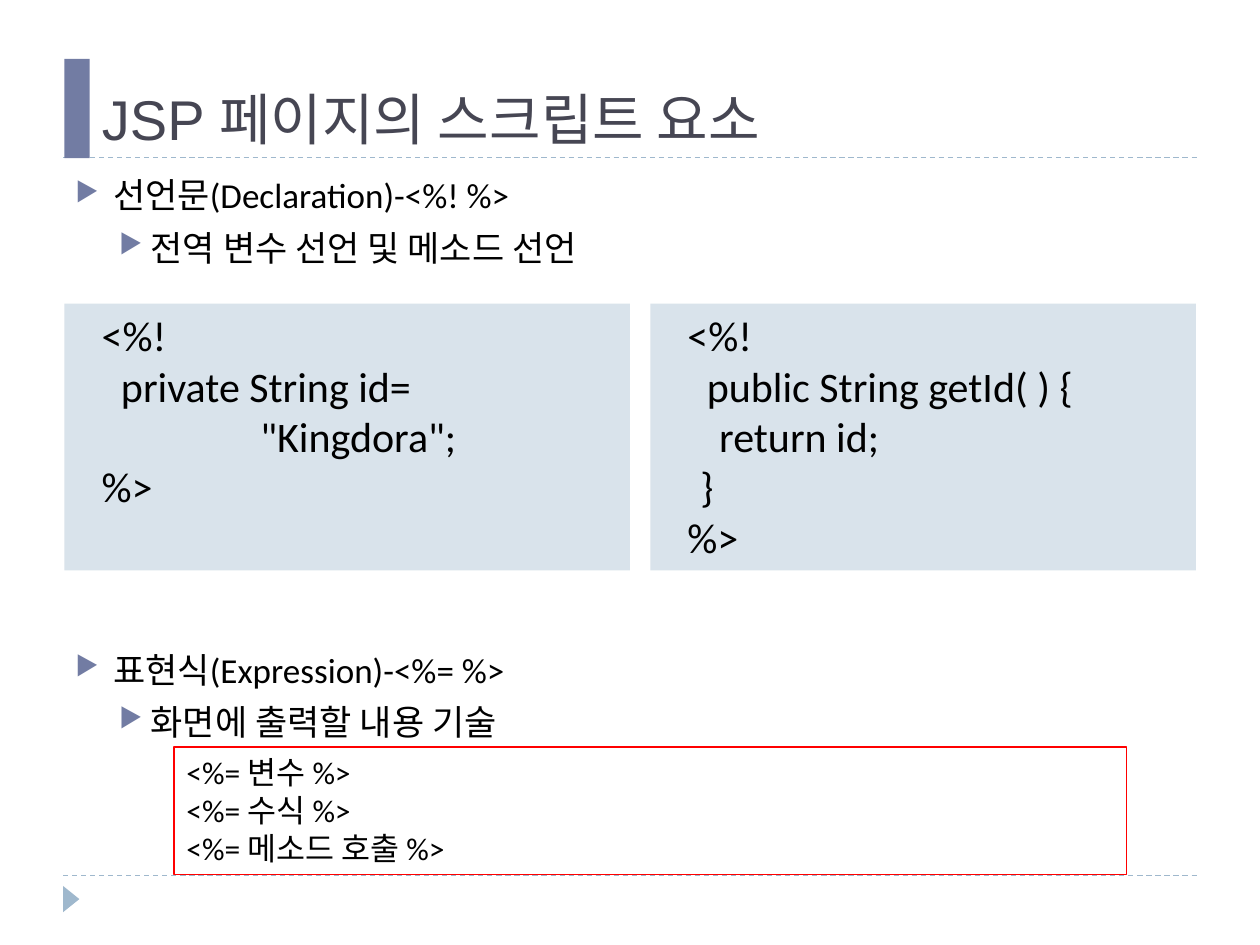
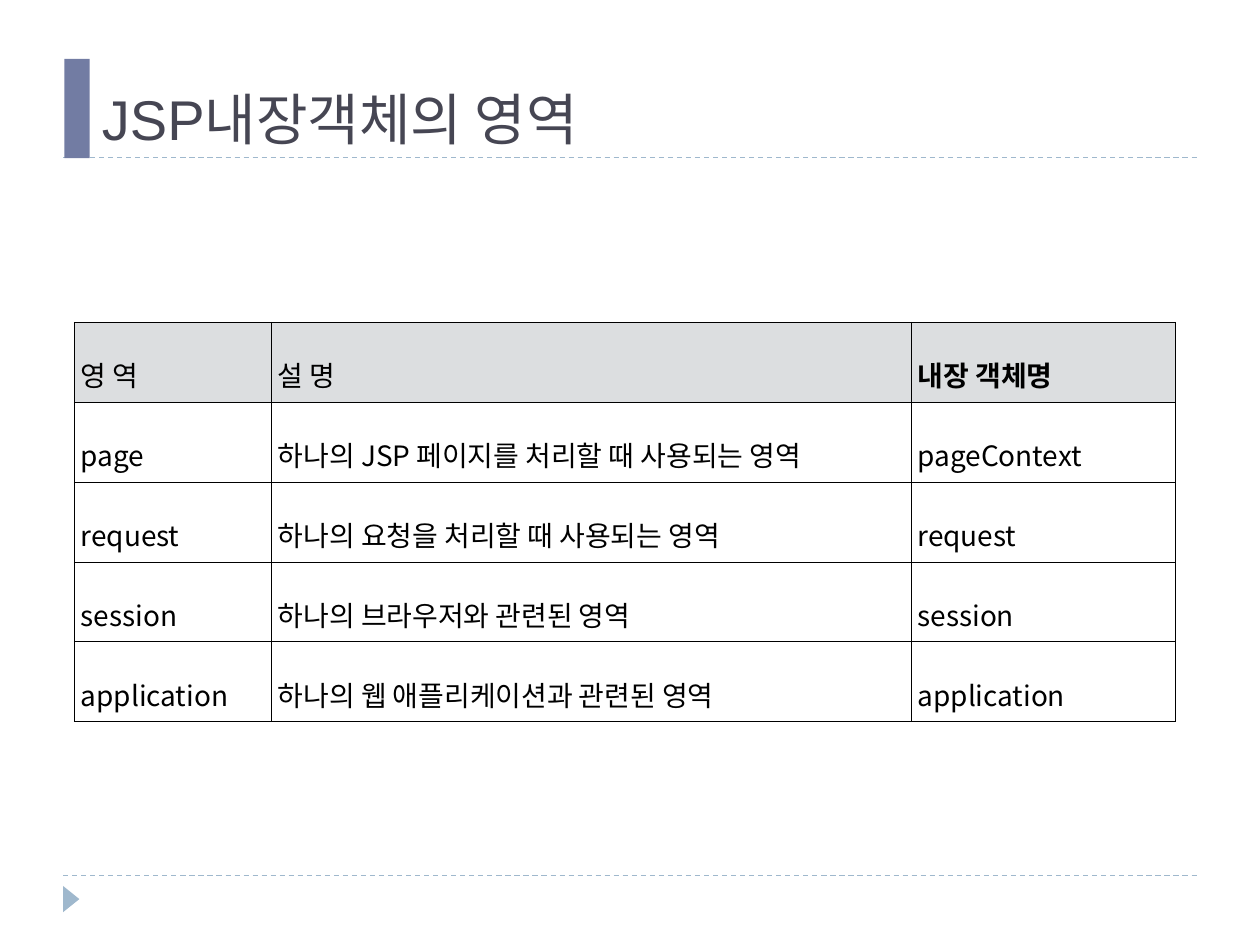
import pptx
import pptx.dml.color
import pptx.enum.dml
import pptx.enum.shapes
import pptx.enum.text
import pptx.oxml
import pptx.oxml.ns
import pptx.util
from lxml import etree

Cm = pptx.util.Cm
Pt = pptx.util.Pt
RGB = pptx.dml.color.RGBColor.from_string
qn = pptx.oxml.ns.qn
Shape = pptx.enum.shapes.MSO_SHAPE
Anchor = pptx.enum.text.MSO_ANCHOR
Align = pptx.enum.text.PP_ALIGN

COLORS = {
    "title": "464653",
    "text": "000000",
    "accent": "727CA3",
    "rule": "9FB8CD",
    "code": "D9E3EB",
    "alert": "FF0000",
    "header": "DCDEE0",
}
KOREAN_FONT = "Noto Sans CJK KR"


def add_text(paragraph, text, size, font, color="text", bold=False):
    """Add one formatted run, with the Korean font for Hangul."""
    run = paragraph.add_run()
    run.text = text
    run.font.size = Pt(size)
    run.font.name = font
    run.font.bold = bold
    run.font.color.rgb = RGB(COLORS[color])
    east_asian = etree.SubElement(run._r.get_or_add_rPr(), qn("a:ea"))
    east_asian.set("typeface", KOREAN_FONT)


def add_box(slide, preset, left, top, width, height, fill=None, line=None):
    """Add a flat shape, measured in centimetres, with top-left text."""
    shape = slide.shapes.add_shape(preset, Cm(left), Cm(top), Cm(width), Cm(height))
    shape.shadow.inherit = False
    if fill:
        shape.fill.solid()
        shape.fill.fore_color.rgb = RGB(COLORS[fill])
    else:
        shape.fill.background()
    if line:
        shape.line.color.rgb = RGB(COLORS[line])
        shape.line.width = Pt(0.75)
    else:
        shape.line.fill.background()
    shape.text_frame.word_wrap = True
    shape.text_frame.vertical_anchor = Anchor.TOP
    return shape


presentation = pptx.Presentation()
presentation.slide_width = Cm(25.4)
presentation.slide_height = Cm(19.05)

# Shared frame: rules, marker, title bar and title
slides = []
for title_text in ("JSP 페이지의 스크립트 요소", "JSP내장객체의 영역"):
    slide = presentation.slides.add_slide(presentation.slide_layouts[5])
    slides.append(slide)

    for rule_top in (17.65, 3.18):
        rule = slide.shapes.add_connector(
            pptx.enum.shapes.MSO_CONNECTOR.STRAIGHT,
            Cm(1.27), Cm(rule_top), Cm(24.13), Cm(rule_top))
        rule.line.color.rgb = RGB(COLORS["rule"])
        rule.line.width = Pt(0.75)
        rule.line.dash_style = pptx.enum.dml.MSO_LINE.DASH
        etree.SubElement(rule._element.spPr, qn("a:effectLst"))

    marker = add_box(slide, Shape.ISOSCELES_TRIANGLE, 1.17, 17.96, 0.53, 0.33, "rule")
    marker.rotation = 90
    add_box(slide, Shape.RECTANGLE, 1.3, 1.19, 0.51, 2, "accent")

    title = slide.shapes.title
    title.left, title.top, title.width, title.height = Cm(1.8), Cm(1.19), Cm(22.33), Cm(2)
    title.text_frame.vertical_anchor = Anchor.BOTTOM
    title.text_frame.auto_size = pptx.enum.text.MSO_AUTO_SIZE.NONE
    paragraph = title.text_frame.paragraphs[0]
    paragraph.alignment = Align.LEFT
    add_text(paragraph, title_text, 32, "Arial", "title")

script_slide, scope_slide = slides

# Slide 1: bullets, with a wide gap that leaves room for the code panels
bullets = (  # text, left margin, hanging indent, space before
    ("선언문(Declaration)-<%! %>", 0.76, -0.76, 6),
    ("전역 변수 선언 및 메소드 선언", 1.52, -0.64, 6),
    ("표현식(Expression)-<%= %>", 0.76, -0.76, 217),
    ("화면에 출력할 내용 기술", 1.52, -0.64, 6),
)
body = script_slide.shapes.add_textbox(Cm(1.27), Cm(3.38), Cm(22.86), Cm(13.72))
body.text_frame.word_wrap = True
for index, (text, margin, indent, space) in enumerate(bullets):
    paragraph = body.text_frame.paragraphs[0] if index == 0 else body.text_frame.add_paragraph()
    paragraph.space_before = Pt(space)
    properties = paragraph._p.get_or_add_pPr()
    properties.set("marL", str(Cm(margin)))
    properties.set("indent", str(Cm(indent)))
    bullet_color = etree.SubElement(properties, qn("a:buClr"))
    etree.SubElement(bullet_color, qn("a:srgbClr")).set("val", COLORS["accent"])
    etree.SubElement(properties, qn("a:buSzPct")).set("val", "76000")
    etree.SubElement(properties, qn("a:buChar")).set("char", "▶")
    add_text(paragraph, text, 20, "Calibri")

# Slide 1: code panels and expression box, each line with its indent
declaration = add_box(script_slide, Shape.RECTANGLE, 1.3, 6.12, 11.4, 5.38, "code")
method = add_box(script_slide, Shape.RECTANGLE, 13.11, 6.12, 11, 5.38, "code")
expression = add_box(script_slide, Shape.RECTANGLE, 3.51, 15.06, 19.2, 2.57, line="alert")
listings = (
    (declaration, 24, (("<%!", 0.5), ("private String id=", 0.89),
                       ('"Kingdora";', 3.7), ("%>", 0.5))),
    (method, 24, (("<%!", 0.5), ("public String getId( ) {", 0.89),
                  ("return id;", 1.14), ("}", 0.76), ("%>", 0.5))),
    (expression, 18, (("<%= 변수 %>", 0), ("<%= 수식 %>", 0), ("<%= 메소드 호출 %>", 0))),
)
for shape, size, lines in listings:
    for index, (text, margin) in enumerate(lines):
        paragraph = shape.text_frame.paragraphs[0] if index == 0 else shape.text_frame.add_paragraph()
        paragraph.alignment = Align.LEFT
        paragraph._p.get_or_add_pPr().set("marL", str(Cm(margin)))
        add_text(paragraph, text, size, "Calibri")

# Slide 2: table of scopes
rows = (
    ("영 역", "설 명", "내장 객체명"),
    ("page", "하나의 JSP 페이지를 처리할 때 사용되는 영역", "pageContext"),
    ("request", "하나의 요청을 처리할 때 사용되는 영역", "request"),
    ("session", "하나의 브라우저와 관련된 영역", "session"),
    ("application", "하나의 웹 애플리케이션과 관련된 영역", "application"),
)
column_widths = (3.97, 12.9, 5.33)
row_height = 1.61
table = scope_slide.shapes.add_table(
    len(rows), len(column_widths), Cm(1.5), Cm(6.5),
    Cm(sum(column_widths)), Cm(row_height * len(rows))).table
table.first_row = False
table.horz_banding = False
for column, width in zip(table.columns, column_widths):
    column.width = Cm(width)

for row_index, row in enumerate(rows):
    table.rows[row_index].height = Cm(row_height)
    is_header = row_index == 0
    for column_index, text in enumerate(row):
        cell = table.cell(row_index, column_index)
        cell.vertical_anchor = Anchor.MIDDLE
        cell.margin_left = cell.margin_right = Cm(0.13)
        cell.margin_top = cell.margin_bottom = Cm(0.13)
        for side in ("a:lnL", "a:lnR", "a:lnT", "a:lnB"):
            border = etree.SubElement(cell._tc.get_or_add_tcPr(), qn(side))
            border.set("w", str(Pt(0.56)))
            border_fill = etree.SubElement(border, qn("a:solidFill"))
            etree.SubElement(border_fill, qn("a:srgbClr")).set("val", COLORS["text"])
        if is_header:
            cell.fill.solid()
            cell.fill.fore_color.rgb = RGB(COLORS["header"])
        else:
            cell.fill.background()
        paragraph = cell.text_frame.paragraphs[0]
        paragraph.line_spacing = 1.6
        paragraph.alignment = Align.LEFT if is_header else Align.JUSTIFY
        add_text(paragraph, text, 16, KOREAN_FONT, bold=is_header and column_index == 2)

presentation.save("out.pptx")
